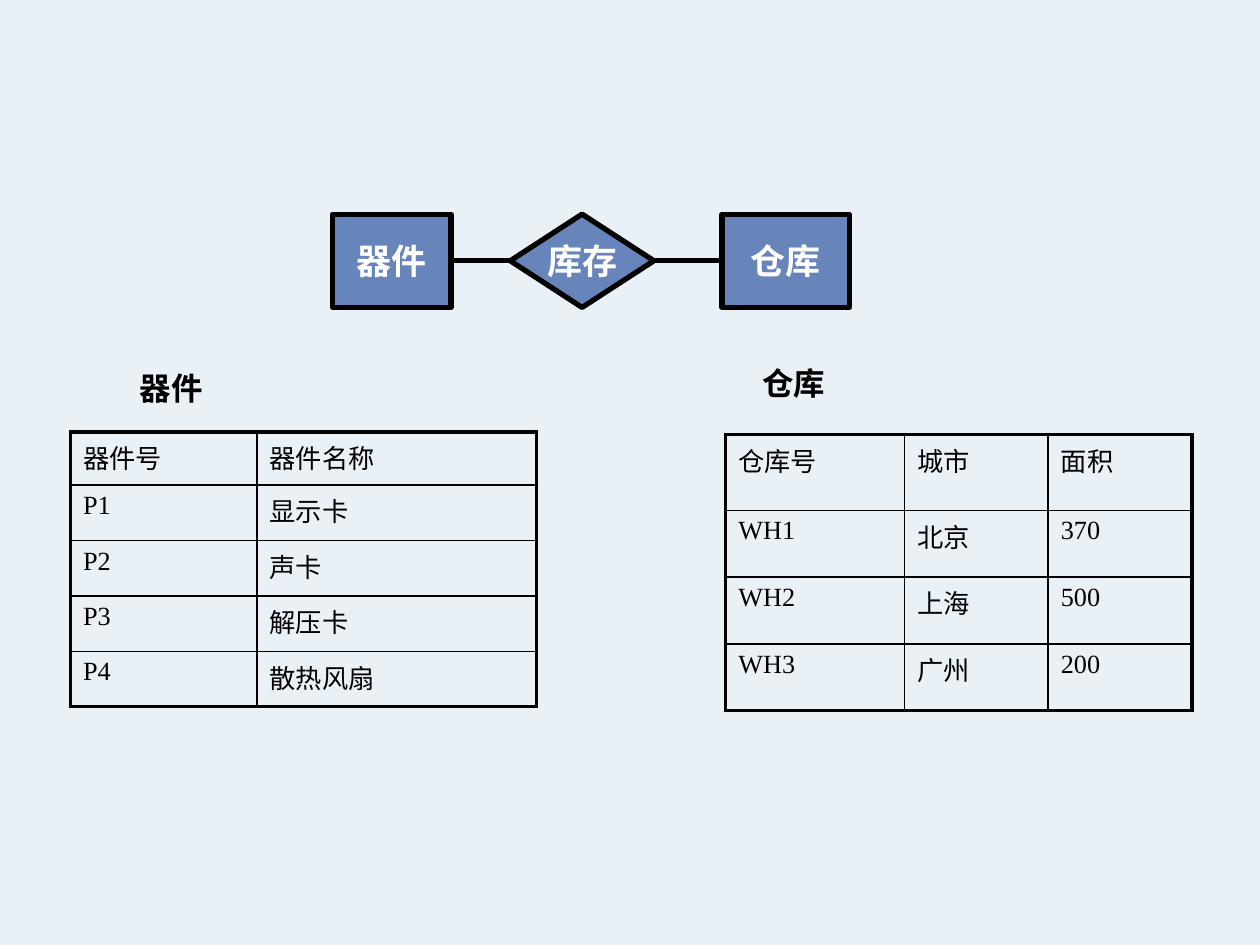
from lxml.etree import SubElement
from pptx import Presentation
from pptx.dml.color import RGBColor
from pptx.enum.shapes import MSO_CONNECTOR, MSO_SHAPE as SHAPE
from pptx.enum.text import MSO_ANCHOR, MSO_AUTO_SIZE, PP_ALIGN
from pptx.oxml.ns import qn
from pptx.util import Inches, Pt

BACKGROUND = RGBColor(0xEA, 0xF1, 0xF6)
BLUE = RGBColor(0x47, 0x6B, 0xAB)
BLACK = RGBColor(0, 0, 0)
WHITE = RGBColor(0xFF, 0xFF, 0xFF)
FONT = "Times New Roman"
OUTER, INNER = 2.25, 1

PARTS = [
    ["器件号", "器件名称"],
    ["P1", "显示卡"],
    ["P2", "声卡"],
    ["P3", "解压卡"],
    ["P4", "散热风扇"],
]
WAREHOUSES = [
    ["仓库号", "城市", "面积"],
    ["WH1", "北京", "370"],
    ["WH2", "上海", "500"],
    ["WH3", "广州", "200"],
]


def write(frame, text, size, color, bold=False, align=None):
    frame.text = text
    paragraph = frame.paragraphs[0]
    paragraph.alignment = align
    font = paragraph.runs[0].font
    font.name, font.size, font.bold = FONT, Pt(size), bold
    font.color.rgb = color


def add_node(slide, kind, text, left, width):
    """Draw an entity or relationship of the diagram."""
    node = slide.shapes.add_shape(
        kind, Inches(left), Inches(1.7), Inches(width), Inches(0.74))
    node.shadow.inherit = False
    node.fill.solid()
    node.fill.fore_color.rgb = BLUE
    color = node.fill._xPr.find(qn("a:solidFill"))[0]
    SubElement(color, qn("a:alpha"), val="80000")
    node.line.color.rgb = BLACK
    node.line.width = Pt(3)
    frame = node.text_frame
    frame.word_wrap = False
    frame.vertical_anchor = MSO_ANCHOR.MIDDLE
    write(frame, text, 20, WHITE, True, PP_ALIGN.CENTER)
    return node


def link(slide, start, end):
    """Join the right side of one node to the left side of the next."""
    line = slide.shapes.add_connector(MSO_CONNECTOR.STRAIGHT, 0, 0, 0, 0)
    line.begin_connect(start, 3)
    line.end_connect(end, 1)
    line.line.color.rgb = BLACK
    line.line.width = Pt(3)
    SubElement(line._element.spPr, qn("a:effectLst"))


def add_caption(slide, text, left, top, width):
    caption = slide.shapes.add_textbox(
        Inches(left), Inches(top), Inches(width), Inches(0.4))
    frame = caption.text_frame
    frame.word_wrap = True
    frame.auto_size = MSO_AUTO_SIZE.SHAPE_TO_FIT_TEXT
    write(frame, text, 18, BLACK, True, PP_ALIGN.CENTER)


def set_borders(cell, widths):
    """Set the left, right, top and bottom borders, in points."""
    properties = cell._tc.get_or_add_tcPr()
    for side, width in zip("LRTB", widths):
        border = SubElement(properties, qn(f"a:ln{side}"), w=str(Pt(width)))
        fill = SubElement(border, qn("a:solidFill"))
        SubElement(fill, qn("a:srgbClr"), val=str(BLACK))


def add_grid(slide, records, left, top, widths, heights):
    """Draw a table with a heavy frame and thin inner lines."""
    table = slide.shapes.add_table(
        len(heights), len(widths), Inches(left), Inches(top),
        Inches(sum(widths)), Inches(sum(heights))).table
    table.first_row = table.horz_banding = False
    for column, width in zip(table.columns, widths):
        column.width = Inches(width)
    for row, height in zip(table.rows, heights):
        row.height = Inches(height)
    last_row, last_column = len(heights) - 1, len(widths) - 1
    for r, record in enumerate(records):
        for c, value in enumerate(record):
            cell = table.cell(r, c)
            on_edge = (c == 0, c == last_column, r == 0, r == last_row)
            set_borders(cell, [OUTER if edge else INNER for edge in on_edge])
            cell.fill.background()
            write(cell.text_frame, value, 15, BLACK)


def main():
    prs = Presentation()
    prs.slide_width, prs.slide_height = Inches(10), Inches(7.5)
    slide = prs.slides.add_slide(prs.slide_layouts[6])
    slide.background.fill.solid()
    slide.background.fill.fore_color.rgb = BACKGROUND

    # Entity-relationship diagram
    part = add_node(slide, SHAPE.RECTANGLE, "器件", 2.64, 0.94)
    warehouse = add_node(slide, SHAPE.RECTANGLE, "仓库", 5.73, 1.01)
    stock = add_node(slide, SHAPE.FLOWCHART_DECISION, "库存", 4.05, 1.14)
    link(slide, part, stock)
    link(slide, stock, warehouse)

    # Warehouse table
    add_caption(slide, "仓库", 5.75, 2.84, 1.1)
    add_grid(slide, WAREHOUSES, 5.76, 3.45,
             [1.42, 1.14, 1.14], [0.6] + [0.53] * 3)

    # Part table
    add_caption(slide, "器件", 0.65, 2.88, 1.42)
    add_grid(slide, PARTS, 0.56, 3.43, [1.48, 2.22], [0.42] + [0.44] * 4)

    prs.save("out.pptx")


if __name__ == "__main__":
    main()
